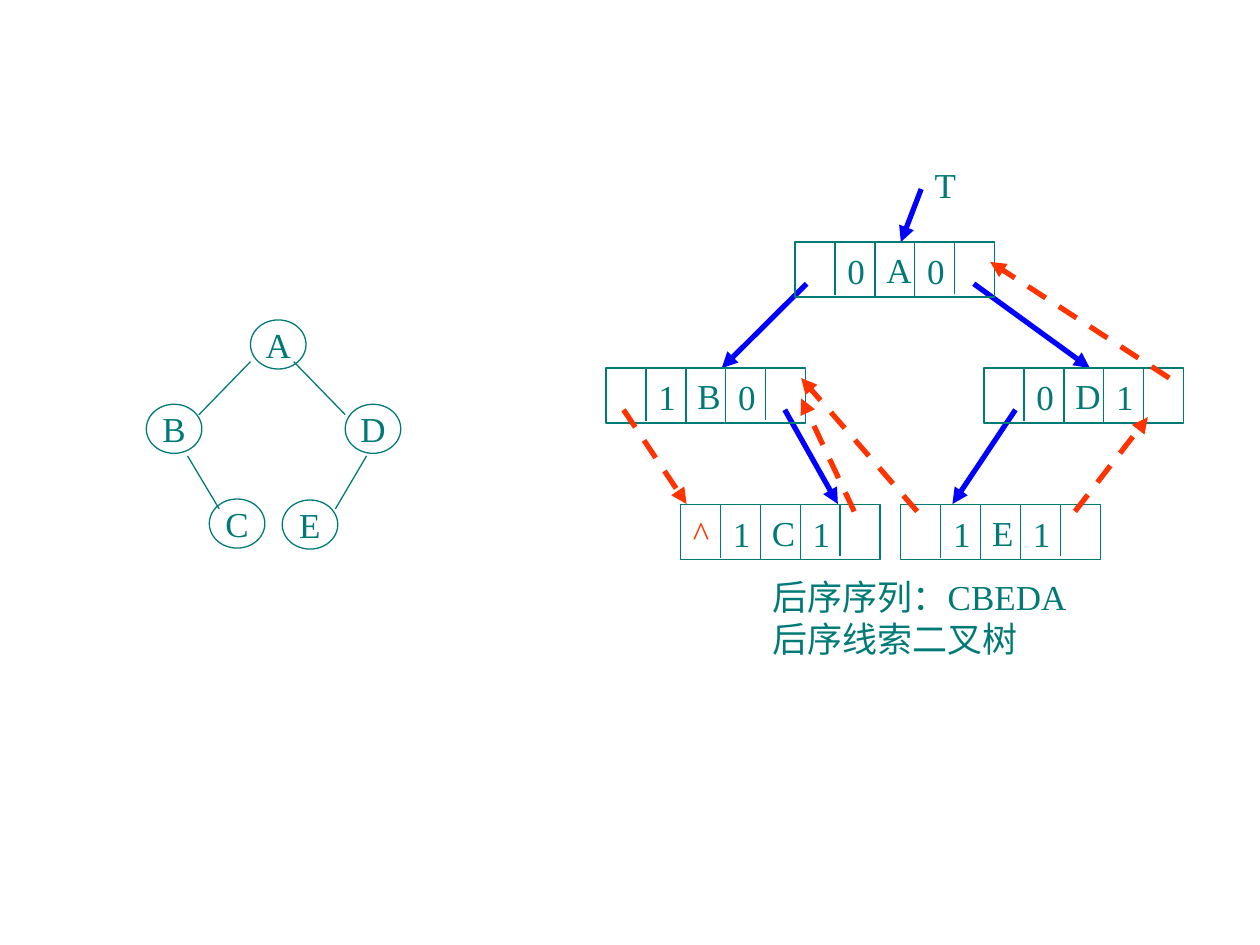
from lxml import etree
from pptx import Presentation
from pptx import util as u
from pptx.dml.color import RGBColor
from pptx.enum import dml, shapes, text
from pptx.oxml.ns import qn

COLORS = {"teal": "007A77", "blue": "0000FF", "red": "FF3300"}
NODE_W, NODE_H = 1.12, 0.99
REC_W, REC_H = 4.02, 1.11
CELL = REC_W / 5

prs = Presentation()
prs.slide_width, prs.slide_height = u.Cm(25.4), u.Cm(19.05)
s = prs.slides.add_slide(prs.slide_layouts[6])


def add_line(x1, y1, x2, y2, color="teal", width=0.75, arrow=False, dash=False):
    sp = s.shapes.add_connector(shapes.MSO_CONNECTOR.STRAIGHT,
                                u.Cm(x1), u.Cm(y1), u.Cm(x2), u.Cm(y2))
    sp.line.color.rgb = RGBColor.from_string(COLORS[color])
    sp.line.width = u.Pt(width)
    if dash:
        sp.line.dash_style = dml.MSO_LINE.DASH
    if arrow:
        etree.SubElement(sp.line._get_or_add_ln(), qn("a:tailEnd"), type="triangle")
    etree.SubElement(sp._element.spPr, qn("a:effectLst"))


def add_text(x, y, w, h, words, color="teal", shape=None, align="CENTER",
             anchor="MIDDLE", wrap=False):
    box = u.Cm(x), u.Cm(y), u.Cm(w), u.Cm(h)
    if shape is None:
        sp = s.shapes.add_textbox(*box)
    else:
        sp = s.shapes.add_shape(shape, *box)
        sp.shadow.inherit = False
        sp.fill.background()
        sp.line.color.rgb = RGBColor.from_string(COLORS["teal"])
        sp.line.width = u.Pt(0.75)
    tf = sp.text_frame
    tf.text = words
    tf.word_wrap = wrap
    tf.vertical_anchor = getattr(text.MSO_ANCHOR, anchor)
    for p in tf.paragraphs:
        p.alignment = getattr(text.PP_ALIGN, align)
        for r in p.runs:
            r.font.size = u.Pt(20)
            r.font.name = "Times New Roman"
            r.font.color.rgb = RGBColor.from_string(COLORS[color])
    return sp


# Binary tree: nodes, then edges
for name, x, y in [("A", 5.05, 6.45), ("B", 2.95, 8.15), ("C", 4.22, 10.06),
                   ("D", 6.96, 8.15), ("E", 5.69, 10.08)]:
    add_text(x, y, NODE_W, NODE_H, name, shape=shapes.MSO_SHAPE.OVAL)
for edge in [(5.05, 7.29, 4.01, 8.36), (5.92, 7.29, 6.96, 8.36),
             (3.78, 9.19, 4.42, 10.26), (7.39, 9.19, 6.76, 10.26)]:
    add_line(*edge)

# Child pointers and root pointer
for pointer in [(16.26, 5.72, 14.55, 7.42), (19.63, 5.72, 21.97, 7.42),
                (15.82, 8.26, 16.89, 10.16), (20.47, 8.26, 19.2, 10.16),
                (18.57, 3.81, 18.16, 4.88)]:
    add_line(*pointer, color="blue", width=3, arrow=True)

# Five-field records: left link, left tag, data, right tag, right link
for name, x, y, ltag, rtag in [("A", 16.03, 4.88, "0", "0"),
                               ("B", 12.22, 7.42, "1", "0"),
                               ("D", 19.84, 7.42, "0", "1"),
                               ("C", 13.72, 10.17, "1", "1"),
                               ("E", 18.16, 10.17, "1", "1")]:
    sp = add_text(x, y, REC_W, REC_H, name, shape=shapes.MSO_SHAPE.RECTANGLE,
                  align="LEFT", wrap=True)
    sp.text_frame.margin_left = u.Cm(1.84)
    for i, length in enumerate([1.07, 1.12, 1.12, 1.04], start=1):
        add_line(x + i * CELL, y, x + i * CELL, y + length)
    for i, tag in [(1, ltag), (3, rtag)]:
        add_text(x + i * CELL, y + 0.02, CELL, REC_H, tag)
    if name == "C":
        add_text(x, y, CELL, REC_H, "^", color="red")

# Root label and caption
add_text(18.59, 3.18, 0.94, 1.11, "T", align="LEFT", anchor="TOP")
add_text(15.32, 11.48, 6.6, 1.96, "后序序列：CBEDA\n后序线索二叉树",
         align="LEFT", anchor="TOP")

# Threads
for thread in [(12.57, 8.26, 13.84, 10.16), (17.22, 10.31, 16.15, 8.03),
               (18.49, 10.31, 16.15, 7.62), (21.67, 10.31, 23.14, 8.41),
               (23.57, 7.62, 19.96, 5.28)]:
    add_line(*thread, color="red", width=3, arrow=True, dash=True)

prs.save("out.pptx")
